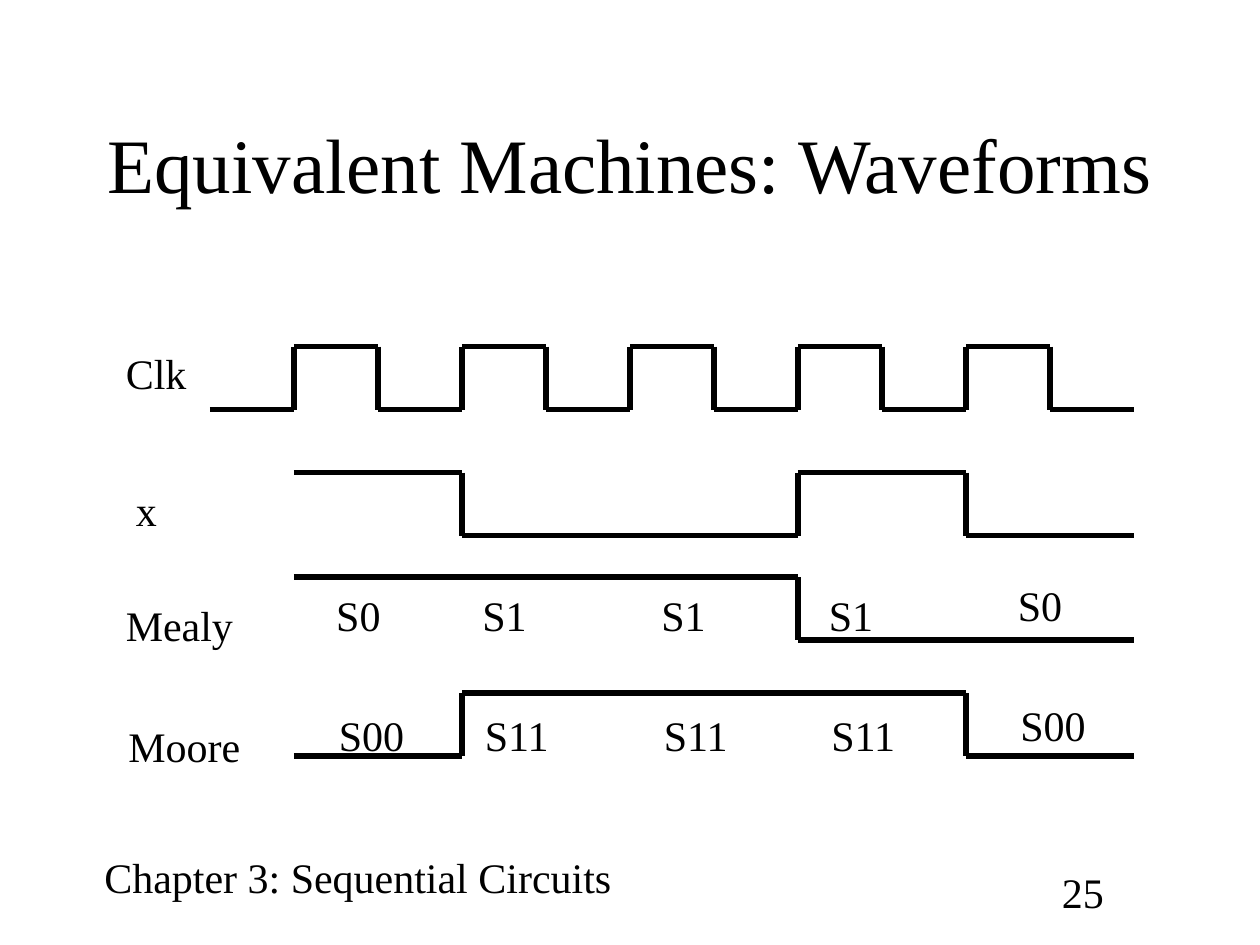
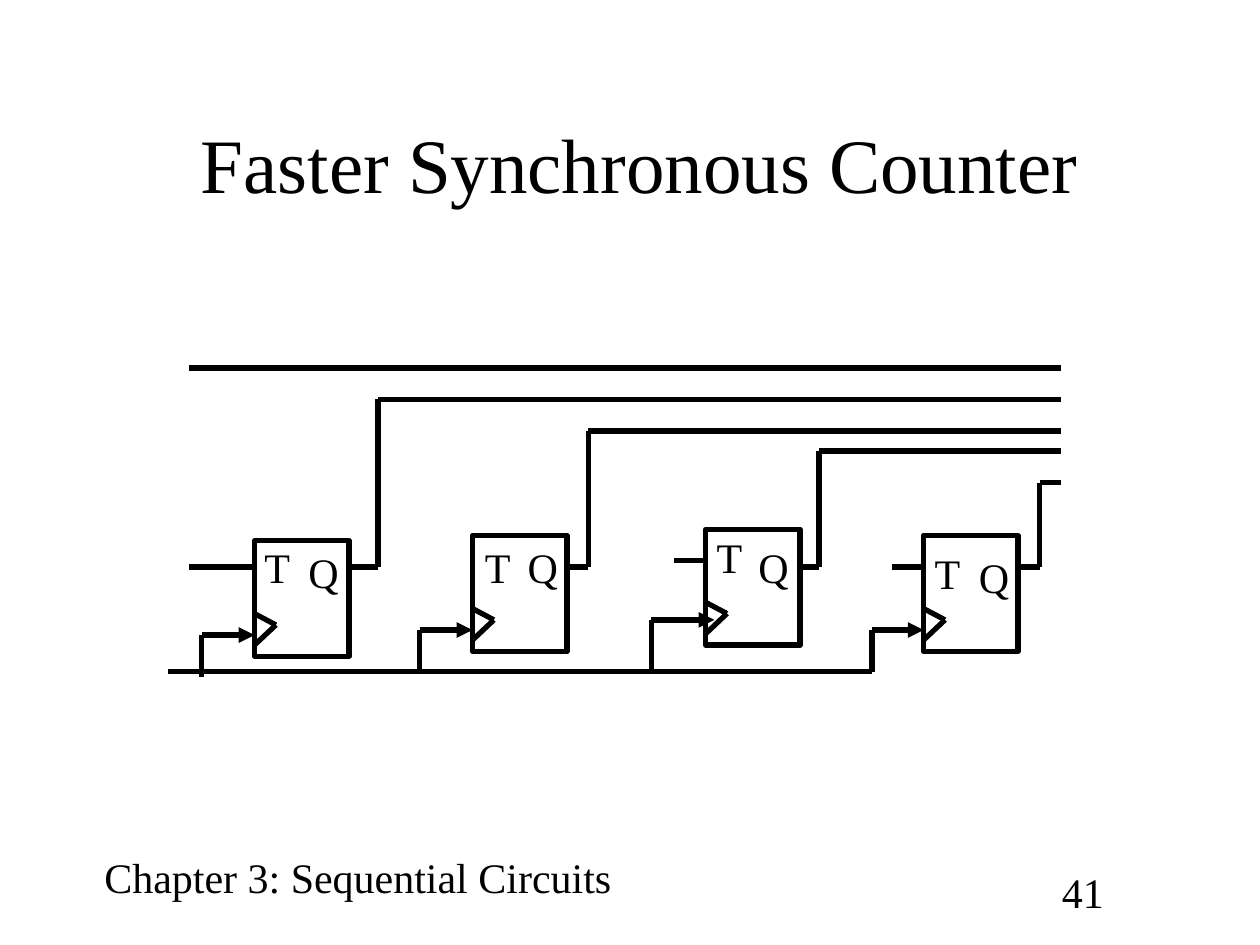
from itertools import groupby

from lxml import etree
from pptx import Presentation
from pptx import util as u
from pptx.dml.color import RGBColor
from pptx.enum import shapes, text
from pptx.oxml.ns import qn

# Shared look
WIDTH, HEIGHT = 10, 7.5
INK = "000000"
FONT = "Times New Roman"
TITLE_SIZE, TEXT_SIZE, LINE_WIDTH = 44, 24, 3
TITLE_AREA = (0.75, 0.67, 8.5, 1.25)
FOOTER = "Chapter 3: Sequential Circuits"
FOOTER_AREA = (0.73, 6.71, 4.47)
NUMBER_AREA = (8.33, 6.83, 0.92)
LABEL_HEIGHT = 0.5

# Waveforms: one level letter (H or L) for each half clock period
HALF = 2 / 3
WAVE_LEFT = 2.5 * HALF
SWING = 0.5
WAVES = [  # high level, first half period, levels
    (2.75, 0, "LHLHLHLHLHL"),
    (3.75, 1, "HHLLLLHHLL"),
    (4.58, 1, "HHHHHHLLLL"),
    (5.5, 1, "LLHHHHHHLL"),
]
SIGNAL_NAMES = [  # name, left, top, width
    ("Clk", 0.9, 2.71, 0.68),
    ("x", 0.98, 3.8, 0.36),
    ("Mealy", 0.9, 4.71, 1.05),
    ("Moore", 0.92, 5.67, 1.09),
]
STATE_LEFTS = [2.57, 3.73, 5.15, 6.48, 7.98]
LAST_STATE_RISE = 0.08
STATES = [  # top, shift to the right, width, names
    (4.63, 0, 0.55, ["S0", "S1", "S1", "S1", "S0"]),
    (5.58, 0.02, 0.72, ["S00", "S11", "S11", "S11", "S00"]),
]

# Counter: four T flip-flops on one clock line
FLIP_WIDTH, FLIP_HEIGHT = 0.75, 0.92
OUTPUT_Y = 4.5
BUS_RIGHT, ENABLE_Y = 8.42, 2.92
BUS_LEFT = 1.5
CLOCK_LEFT, CLOCK_Y = 1.33, 5.33
FLIP_FLOPS = [
    dict(corner=(2.02, 4.29), t=(2, 4.25), q=(2.35, 4.29), t_wire=(1.5, 4.5),
         clock=(1.6, 2.02, 5.04), clock_foot=5.37, out_x=3, bus_y=3.17),
    dict(corner=(3.75, 4.25), t=(3.75, 4.25), q=(4.09, 4.25), t_wire=None,
         clock=(3.33, 3.75, 5), clock_foot=CLOCK_Y, out_x=4.67, bus_y=3.42),
    dict(corner=(5.6, 4.2), t=(5.59, 4.17), q=(5.92, 4.25), t_wire=(5.35, 4.45),
         clock=(5.17, 5.67, 4.92), clock_foot=CLOCK_Y, out_x=6.5, bus_y=3.58),
    dict(corner=(7.33, 4.25), t=(7.32, 4.3), q=(7.67, 4.33), t_wire=(7.08, 4.5),
         clock=(6.92, 7.33, 5), clock_foot=CLOCK_Y, out_x=8.25, bus_y=3.83),
]


def color(hex_code):
    return RGBColor.from_string(hex_code)


def set_font(paragraph, size):
    paragraph.font.name = FONT
    paragraph.font.size = u.Pt(size)
    paragraph.font.color.rgb = color(INK)


def set_line(shape):
    shape.line.color.rgb = color(INK)
    shape.line.width = u.Pt(LINE_WIDTH)


def add_label(page, words, left, top, width, wrap=False):
    box = page.shapes.add_textbox(*map(u.Inches, (left, top, width, LABEL_HEIGHT)))
    frame = box.text_frame
    frame.word_wrap = wrap
    frame.auto_size = text.MSO_AUTO_SIZE.SHAPE_TO_FIT_TEXT
    frame.text = words
    set_font(frame.paragraphs[0], TEXT_SIZE)


def add_path(page, *points, arrow=False):
    """Join the points with straight lines; the last may carry an arrowhead."""
    for start, end in zip(points, points[1:]):
        wire = page.shapes.add_connector(
            shapes.MSO_CONNECTOR.STRAIGHT, *map(u.Inches, start + end))
        set_line(wire)
        etree.SubElement(wire._element.spPr, qn("a:effectLst"))
    if arrow:
        etree.SubElement(wire.line._get_or_add_ln(), qn("a:tailEnd"), type="triangle")


def add_page(deck, title, number):
    page = deck.slides.add_slide(deck.slide_layouts[5])
    holder = page.shapes.title
    holder.left, holder.top, holder.width, holder.height = map(u.Inches, TITLE_AREA)
    frame = holder.text_frame
    frame.text = title
    frame.word_wrap = True
    frame.auto_size = text.MSO_AUTO_SIZE.NONE
    frame.vertical_anchor = text.MSO_ANCHOR.MIDDLE
    frame.paragraphs[0].alignment = text.PP_ALIGN.CENTER
    set_font(frame.paragraphs[0], TITLE_SIZE)
    add_label(page, FOOTER, *FOOTER_AREA)
    add_label(page, str(number), *NUMBER_AREA, wrap=True)
    return page


def draw_wave(page, high, first, levels):
    points, column = [], first
    for level, run in groupby(levels):
        y = high if level == "H" else high + SWING
        points.append((WAVE_LEFT + column * HALF, y))
        column += len(list(run))
        points.append((WAVE_LEFT + column * HALF, y))
    add_path(page, *points)


def draw_flip_flop(page, flip):
    left, top = flip["corner"]
    box = page.shapes.add_shape(
        shapes.MSO_SHAPE.RECTANGLE,
        *map(u.Inches, (left, top, FLIP_WIDTH, FLIP_HEIGHT)))
    box.shadow.inherit = False
    box.fill.background()
    set_line(box)

    # Clock notch and feed
    add_path(page, (left, top + 0.58), (left + 0.17, top + 0.67), (left, top + 0.83))
    feed_x, tip_x, feed_y = flip["clock"]
    add_path(page, (feed_x, flip["clock_foot"]), (feed_x, feed_y))
    add_path(page, (feed_x, feed_y), (tip_x, feed_y), arrow=True)

    # Input and output wires
    if flip["t_wire"]:
        add_path(page, flip["t_wire"], (left, flip["t_wire"][1]))
    out_x, bus_y = flip["out_x"], flip["bus_y"]
    add_path(page, (left + FLIP_WIDTH, OUTPUT_Y), (out_x, OUTPUT_Y),
             (out_x, bus_y), (BUS_RIGHT, bus_y))

    add_label(page, "T", *flip["t"], 0.4)
    add_label(page, "Q", *flip["q"], 0.44)


def build_waveforms(deck):
    page = add_page(deck, "Equivalent Machines: Waveforms", 25)
    for wave in WAVES:
        draw_wave(page, *wave)
    for name in SIGNAL_NAMES:
        add_label(page, *name)
    for top, shift, width, names in STATES:
        tops = [top] * (len(names) - 1) + [top - LAST_STATE_RISE]
        for name, left, label_top in zip(names, STATE_LEFTS, tops):
            add_label(page, name, left + shift, label_top, width)


def build_counter(deck):
    page = add_page(deck, " Faster Synchronous Counter", 41)
    add_path(page, (BUS_LEFT, ENABLE_Y), (BUS_RIGHT, ENABLE_Y))
    add_path(page, (CLOCK_LEFT, CLOCK_Y), (FLIP_FLOPS[-1]["clock"][0], CLOCK_Y))
    for flip in FLIP_FLOPS:
        draw_flip_flop(page, flip)


def main():
    deck = Presentation()
    deck.slide_width, deck.slide_height = u.Inches(WIDTH), u.Inches(HEIGHT)
    build_waveforms(deck)
    build_counter(deck)
    deck.save("out.pptx")


if __name__ == "__main__":
    main()
